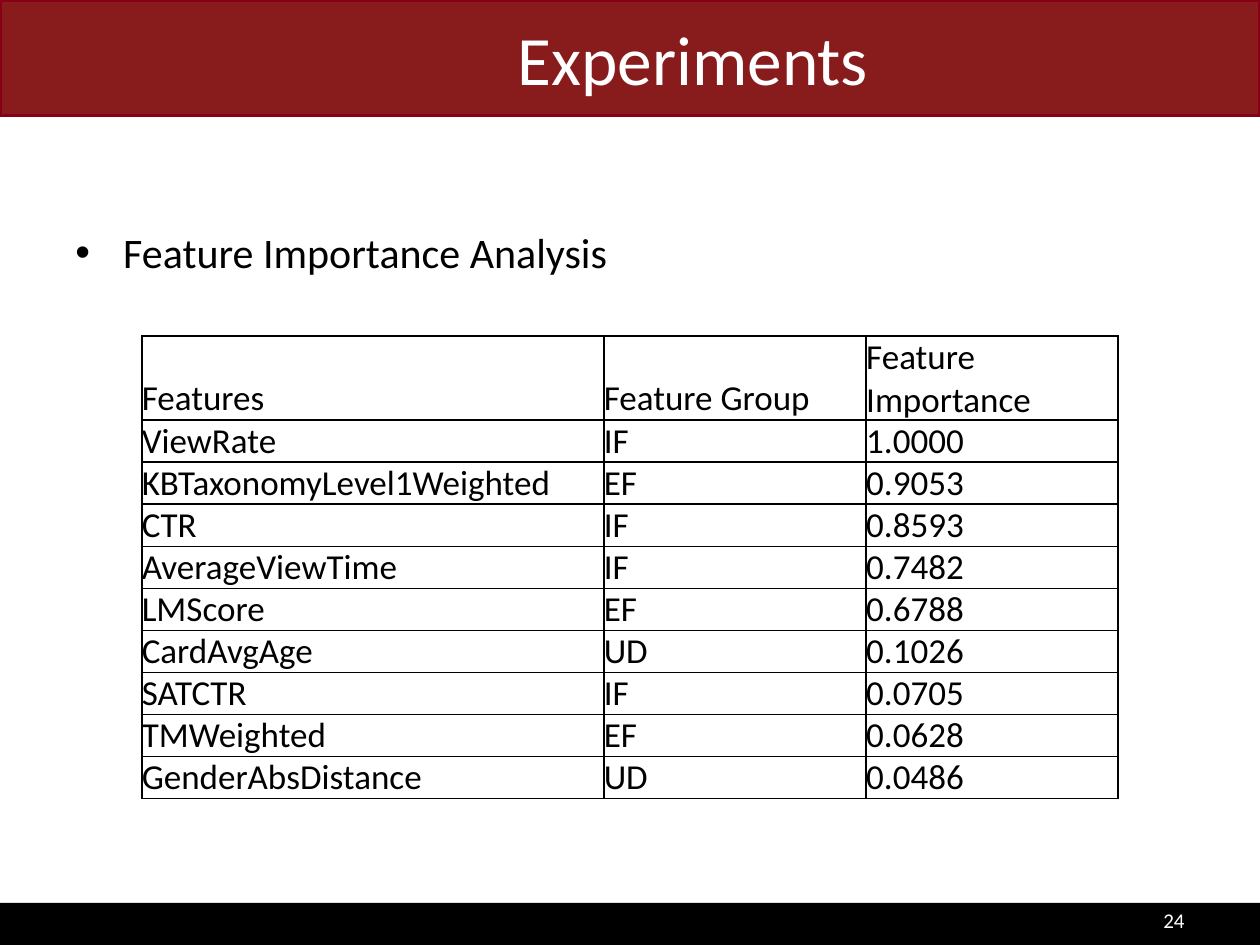
import pptx
import pptx.dml.color
import pptx.enum.shapes
import pptx.enum.text
import pptx.oxml
import pptx.oxml.ns
import pptx.util

COLORS = {
    "banner": "881C1C",
    "banner_edge": "880015",
    "black": "000000",
    "white": "FFFFFF",
}
ALIGN = pptx.enum.text.PP_ALIGN
ANCHOR = pptx.enum.text.MSO_ANCHOR
NAMESPACE = pptx.oxml.ns.nsdecls("a")


class SlideBuilder:
    """Style and current slide; lengths are in grid units, 12 to the inch."""

    font = "Calibri"
    columns, rows = 120, 90

    def __init__(self, presentation):
        self.unit = presentation.slide_width // self.columns
        self.slide = presentation.slides.add_slide(presentation.slide_layouts[6])

    def grid(self, *lengths):
        return [round(length * self.unit) for length in lengths]

    def color(self, name):
        return pptx.dml.color.RGBColor.from_string(COLORS[name])

    def band(self, box, fill, edge=None):
        band = self.slide.shapes.add_shape(
            pptx.enum.shapes.MSO_SHAPE.RECTANGLE, *self.grid(*box))
        band.shadow.inherit = False
        band.fill.solid()
        band.fill.fore_color.rgb = self.color(fill)
        if edge:
            band.line.color.rgb = self.color(edge)
            band.line.width = pptx.util.Pt(2)
        else:
            band.line.fill.background()

    def set_text(self, frame, text, size, color, align=ALIGN.LEFT):
        frame.text = text
        frame.word_wrap = True
        paragraph = frame.paragraphs[0]
        paragraph.alignment = align
        font = paragraph.runs[0].font
        font.name = self.font
        font.size = pptx.util.Pt(size)
        font.color.rgb = self.color(color)
        return paragraph

    def text(self, box, text, size, color, align=ALIGN.LEFT, anchor=ANCHOR.MIDDLE):
        frame = self.slide.shapes.add_textbox(*self.grid(*box)).text_frame
        frame.vertical_anchor = anchor
        return self.set_text(frame, text, size, color, align)

    def bullet(self, box, text, size, color):
        paragraph = self.text(box, text, size, color, anchor=ANCHOR.TOP)
        paragraph.space_before = pptx.util.Pt(0.2 * size)
        indent = pptx.util.Inches(0.38)
        properties = paragraph._p.get_or_add_pPr()
        properties.set("marL", str(indent))
        properties.set("indent", str(-indent))
        for xml in (f'<a:buFont {NAMESPACE} typeface="Arial"/>',
                    f'<a:buChar {NAMESPACE} char="•"/>'):
            properties.append(pptx.oxml.parse_xml(xml))

    def border(self, cell, color, width):
        properties = cell._tc.get_or_add_tcPr()
        for position, side in enumerate(("lnL", "lnR", "lnT", "lnB")):
            properties.insert(position, pptx.oxml.parse_xml(
                f'<a:{side} {NAMESPACE} w="{pptx.util.Pt(width)}"><a:solidFill>'
                f'<a:srgbClr val="{COLORS[color]}"/></a:solidFill></a:{side}>'))

    def table(self, left, top, widths, heights, records, size):
        box = self.grid(left, top, sum(widths), sum(heights))
        table = self.slide.shapes.add_table(len(records), len(widths), *box).table
        table.first_row = table.horz_banding = False
        for column, width in zip(table.columns, self.grid(*widths)):
            column.width = width
        for row, height, record in zip(table.rows, self.grid(*heights), records):
            row.height = height
            for cell, value in zip(row.cells, record):
                cell.margin_left = cell.margin_right = 0
                cell.margin_top = cell.margin_bottom = 0
                cell.vertical_anchor = ANCHOR.BOTTOM
                cell.fill.background()
                self.set_text(cell.text_frame, value, size, "black")
                self.border(cell, "black", 1)


FEATURES = [
    ("Features", "Feature Group", "Feature Importance"),
    ("ViewRate", "IF", "1.0000"),
    ("KBTaxonomyLevel1Weighted", "EF", "0.9053"),
    ("CTR", "IF", "0.8593"),
    ("AverageViewTime", "IF", "0.7482"),
    ("LMScore", "EF", "0.6788"),
    ("CardAvgAge", "UD", "0.1026"),
    ("SATCTR", "IF", "0.0705"),
    ("TMWeighted", "EF", "0.0628"),
    ("GenderAbsDistance", "UD", "0.0486"),
]


def main():
    presentation = pptx.Presentation()
    presentation.slide_width = pptx.util.Inches(10)
    presentation.slide_height = pptx.util.Inches(7.5)
    builder = SlideBuilder(presentation)

    # Header and footer bands
    builder.band((0, 0, builder.columns, 11), "banner", "banner_edge")
    builder.band((0, 86, builder.columns, 4), "black")

    # Title, topic and page number
    builder.text((14, 2, 104, 7), "Experiments", 39.6, "white", ALIGN.CENTER)
    builder.bullet((6, 21, 108, 63), "Feature Importance Analysis", 24, "black")
    builder.text((86, 85.2, 28, 4.8), "24", 12, "white", ALIGN.RIGHT)

    # Feature importance table, with a header row of double height
    row_height = 4
    heights = [2 * row_height] + [row_height] * (len(FEATURES) - 1)
    builder.table(13.5, 32, (44, 25, 24), heights, FEATURES, 20)

    presentation.save("out.pptx")


if __name__ == "__main__":
    main()
